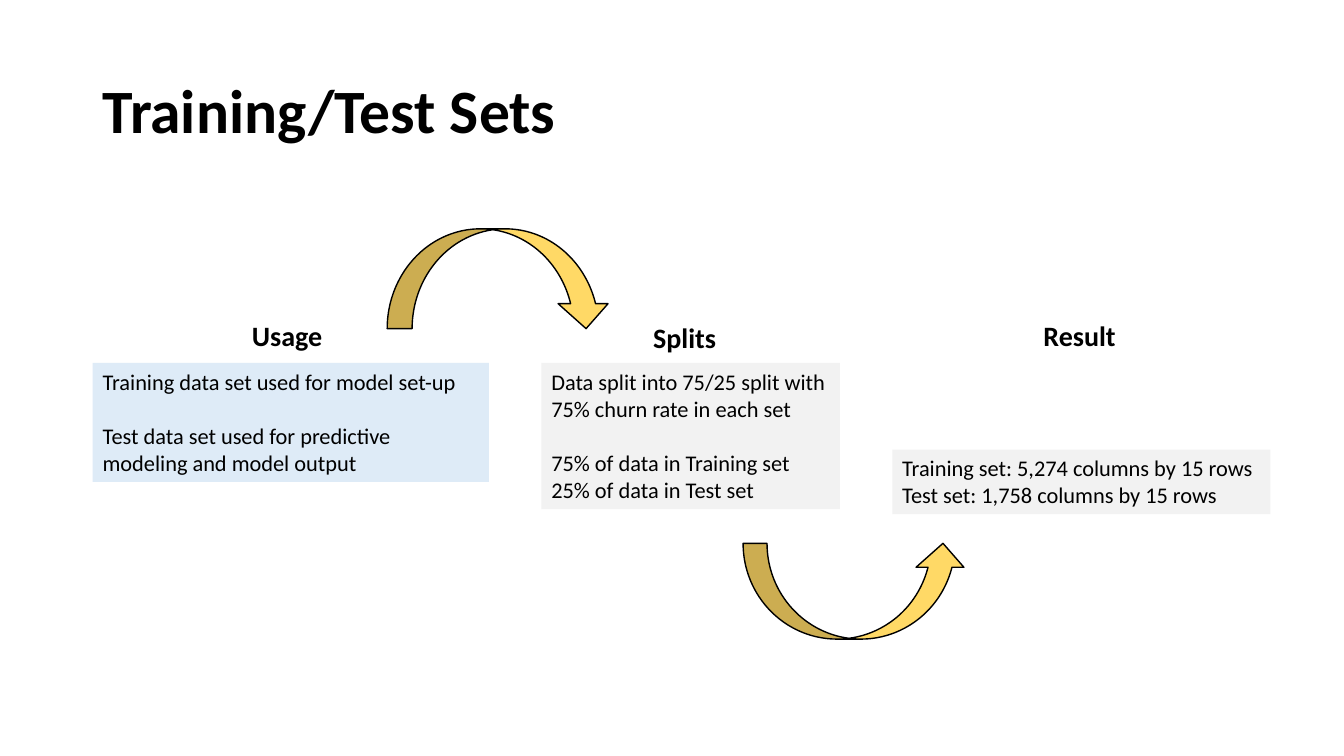
from pptx import Presentation
from pptx.dml.color import RGBColor
from pptx.enum.shapes import MSO_SHAPE as Shape
from pptx.enum.text import MSO_ANCHOR as Anchor, PP_ALIGN as Align
from pptx.util import Inches, Pt

COLORS = {"text": "000000", "gray": "F2F2F2", "blue": "DEEBF7", "gold": "FFD966"}
FONT = "Calibri"
BODY_SIZE = 16
BLANK_LINE = Pt(19.5)


def color(name):
    return RGBColor.from_string(COLORS[name])


def set_font(para, size, bold=False):
    para.font.name = FONT
    para.font.size = Pt(size)
    para.font.bold = bold
    para.font.color.rgb = color("text")


def add_label(page, text, place, size, wrap=False):
    """Add a bold one-line text box and return its text frame."""
    frame = page.shapes.add_textbox(*map(Inches, place)).text_frame
    frame.word_wrap = wrap
    frame.text = text
    set_font(frame.paragraphs[0], size, bold=True)
    return frame


def add_filled_shape(page, kind, place, fill):
    shape = page.shapes.add_shape(kind, *map(Inches, place))
    shape.shadow.inherit = False
    shape.fill.solid()
    shape.fill.fore_color.rgb = color(fill)
    return shape


def add_panel(page, groups, place, fill):
    """Add a borderless box whose groups of lines are set one line apart."""
    panel = add_filled_shape(page, Shape.RECTANGLE, place, fill)
    panel.line.fill.background()
    frame = panel.text_frame
    frame.word_wrap = True
    frame.vertical_anchor = Anchor.TOP
    frame.text = "\n".join(line for group in groups for line in group)
    for para in frame.paragraphs:
        para.alignment = Align.LEFT
        set_font(para, BODY_SIZE)
    start = 0
    for group in groups[:-1]:
        start += len(group)
        frame.paragraphs[start].space_before = BLANK_LINE


def add_curved_arrow(page, kind, place):
    arrow = add_filled_shape(page, kind, place, "gold")
    arrow.line.color.rgb = color("text")
    arrow.line.width = Pt(1)


def main():
    deck = Presentation()
    deck.slide_width, deck.slide_height = Inches(13.33), Inches(7.5)
    page = deck.slides.add_slide(deck.slide_layouts[6])

    title = add_label(page, "Training/Test Sets", (0.92, 0.4, 11.5, 1.45), 44, wrap=True)
    title.vertical_anchor = Anchor.MIDDLE
    title.paragraphs[0].line_spacing = 0.9

    add_panel(page, [
        ["Data split into 75/25 split with 75% churn rate in each set"],
        ["75% of data in Training set", "25% of data in Test set"],
    ], (5.37, 3.6, 2.96, 1.45), "gray")
    add_panel(page, [
        ["Training data set used for model set-up"],
        ["Test data set used for predictive modeling and model output"],
    ], (0.92, 3.6, 3.93, 1.18), "blue")
    add_panel(page, [
        ["Training set: 5,274 columns by 15 rows", "Test set: 1,758 columns by 15 rows"],
    ], (8.85, 4.46, 3.75, 0.64), "gray")

    add_label(page, "Usage", (2.4, 3.11, 0.95, 0.44), 20)
    add_label(page, "Splits", (6.38, 3.13, 0.84, 0.44), 20)
    add_label(page, "Result", (10.25, 3.11, 0.95, 0.44), 20)

    add_curved_arrow(page, Shape.CURVED_DOWN_ARROW, (3.84, 2.27, 2.22, 0.99))
    add_curved_arrow(page, Shape.CURVED_UP_ARROW, (7.37, 5.39, 2.22, 0.95))

    deck.save("out.pptx")


if __name__ == "__main__":
    main()
